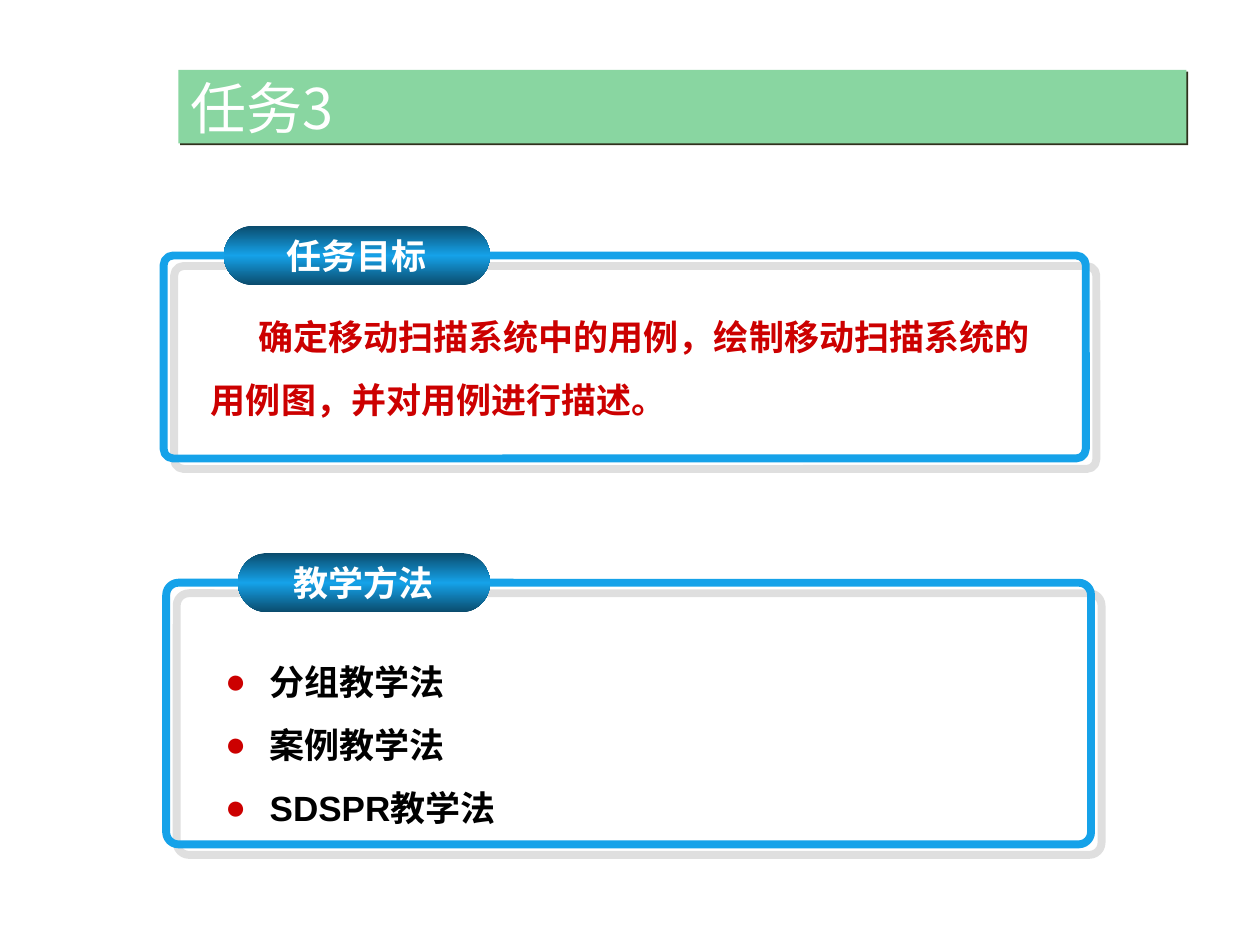
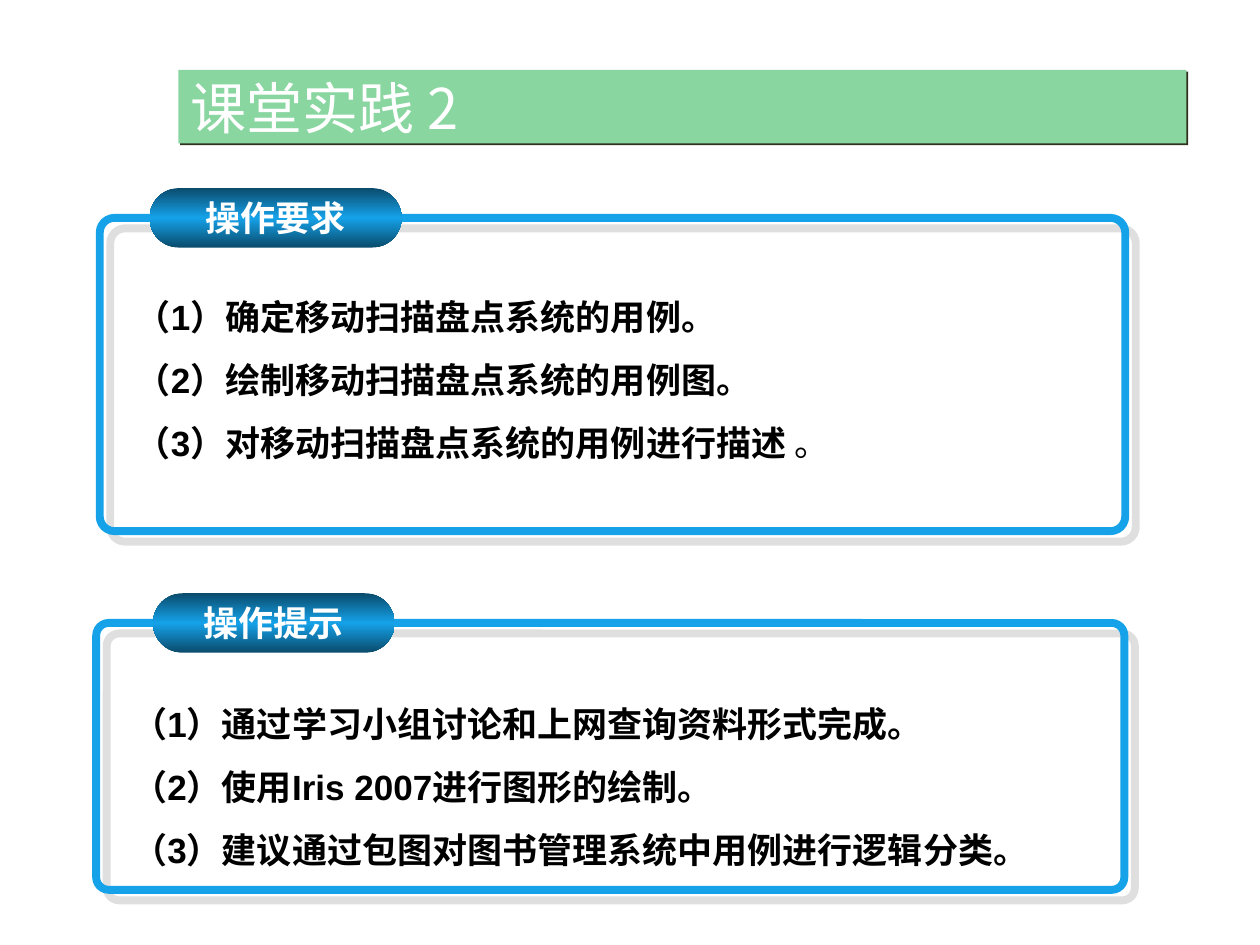
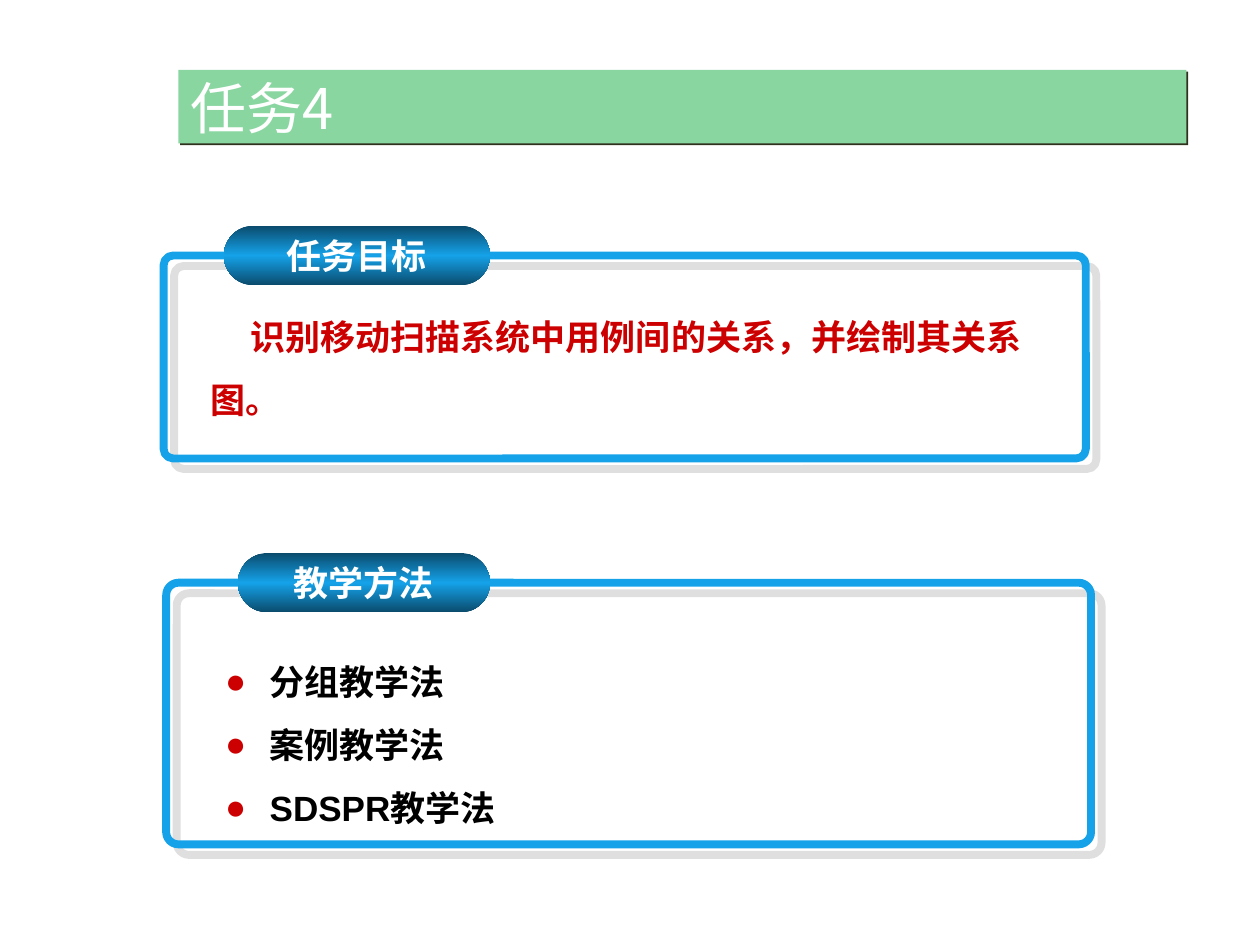
from lxml import etree
from copy import deepcopy
from pptx import Presentation
from pptx import util as u
from pptx.dml import color
from pptx.enum import shapes, text
from pptx.oxml import ns

COLORS = {
    "band": "89D6A1", "band_shadow": "30311D", "frame": "15A2E9",
    "pill_edge": "0A4B6C", "frame_shadow": "C0C0C0", "accent": "CC0000",
    "white": "FFFFFF", "black": "000000",
}
CJK = "Noto Sans CJK SC"
TITLE = {"size": u.Pt(32), "name": "Noto Sans CJK JP", "bold": False}
LABEL = {"size": u.Pt(20), "name": CJK, "bold": True}
BODY = {"size": u.Pt(20), "name": "Arial", "bold": True}
PLAIN = {**BODY, "bold": False}
LINE_PITCH = 36
INSET_X, INSET_Y = 7.2, 3.6
PILL_HEIGHT, PILL_RISE = 34, 17


def rgb(key):
    return color.RGBColor.from_string(COLORS[key])


def child(parent, tag, **attributes):
    return etree.SubElement(parent, ns.qn(tag), attributes)


def points(*values):
    return [u.Pt(value) for value in values]


def add_span(para, words, style, ink, east_asian=CJK):
    span = para.add_run()
    span.text = words
    for name, value in style.items():
        setattr(span.font, name, value)
    span.font.color.rgb = rgb(ink)
    child(span._r.get_or_add_rPr(), "a:ea", typeface=east_asian)


def add_plain_shape(page, kind, box):
    shape = page.shapes.add_shape(kind, *points(*box))
    shape.shadow.inherit = False
    shape.line.fill.background()
    return shape


def cast_shadow(shape, ink, distance, opacity):
    effects = shape._element.spPr.find(ns.qn("a:effectLst"))
    shadow = child(effects, "a:outerShdw", blurRad="0", dist=str(u.Pt(distance)),
                   dir="2700000", algn="ctr", rotWithShape="0")
    tone = child(shadow, "a:srgbClr", val=COLORS[ink])
    child(tone, "a:alpha", val=str(opacity * 1000))


def set_frame(shape, **settings):
    frame = shape.text_frame
    for name, value in settings.items():
        setattr(frame, name, value)
    return frame


def add_title(page, words):
    band = add_plain_shape(page, shapes.MSO_SHAPE.RECTANGLE, (102, 40, 576, 42))
    band.fill.solid()
    band.fill.fore_color.rgb = rgb("band")
    cast_shadow(band, "band_shadow", 1.4, 100)
    frame = set_frame(band, vertical_anchor=text.MSO_ANCHOR.MIDDLE, word_wrap=True)
    para = frame.paragraphs[0]
    para.alignment = text.PP_ALIGN.LEFT
    add_span(para, words, TITLE, "white", TITLE["name"])


def add_pill(page, box, words):
    pill = add_plain_shape(page, shapes.MSO_SHAPE.ROUNDED_RECTANGLE, box)
    pill.adjustments[0] = 0.5
    pill.fill.gradient()
    pill.fill.gradient_angle = 90
    edge, middle = pill.fill.gradient_stops
    edge.color.rgb, middle.color.rgb = rgb("pill_edge"), rgb("frame")
    middle.position = 0.5
    stops = pill._element.spPr.find(ns.qn("a:gradFill")).find(ns.qn("a:gsLst"))
    last = deepcopy(stops[0])
    last.set("pos", "100000")
    stops.append(last)
    frame = set_frame(pill, vertical_anchor=text.MSO_ANCHOR.MIDDLE, word_wrap=False)
    para = frame.paragraphs[0]
    para.alignment = text.PP_ALIGN.CENTER
    add_span(para, words, LABEL, "white")


def add_lines(page, box, lines, ink, indent, bullet):
    body = page.shapes.add_textbox(*points(*box))
    frame = set_frame(body, word_wrap=True, margin_left=u.Pt(INSET_X),
                      margin_right=u.Pt(INSET_X), margin_top=u.Pt(INSET_Y),
                      margin_bottom=u.Pt(INSET_Y))
    for index, spans in enumerate(lines):
        para = frame.add_paragraph() if index else frame.paragraphs[0]
        para.line_spacing = u.Pt(LINE_PITCH)
        properties = para._p.get_or_add_pPr()
        properties.set("indent", str(u.Pt(-indent if bullet else indent)))
        if bullet:
            properties.set("marL", str(u.Pt(indent)))
            child(child(properties, "a:buClr"), "a:srgbClr", val=COLORS["accent"])
            child(properties, "a:buFont", typeface="Arial")
            child(properties, "a:buChar", char="●")
        for words, style in spans:
            add_span(para, words, style, ink)


def add_panel(page, box, label, pill, pad, lines, ink="black", indent=0, bullet=False):
    left, top, width, height = box
    outline = add_plain_shape(page, shapes.MSO_SHAPE.ROUNDED_RECTANGLE, box)
    outline.adjustments[0] = 0.047
    outline.fill.background()
    outline.line.color.rgb = rgb("frame")
    outline.line.width = u.Pt(4.5)
    cast_shadow(outline, "frame_shadow", 8.5, 50)
    pad_x, pad_y = pad
    add_lines(page, (left + pad_x, top + pad_y, width - 2 * pad_x,
                     height - pad_y - INSET_Y), lines, ink, indent, bullet)
    offset, pill_width = pill
    add_pill(page, (left + offset, top - PILL_RISE, pill_width, PILL_HEIGHT), label)


def body_lines(*lines):
    return [[(words, BODY)] for words in lines]


def task_slide(page, title, goal, indent):
    add_title(page, title)
    add_panel(page, (93.5, 146, 527, 116), "任务目标", (34.5, 152), (20, 19),
              body_lines(goal), "accent", indent)
    add_panel(page, (95, 333, 528.5, 149.5), "教学方法", (41, 144), (26.5, 29),
              body_lines("分组教学法", "案例教学法", "SDSPR教学法"),
              indent=25.5, bullet=True)


def practice_slide(page, title, requirements, hints):
    add_title(page, title)
    add_panel(page, (57, 124.5, 586, 179), "操作要求", (28.5, 144), (13.5, 29),
              requirements)
    add_panel(page, (55, 356, 587.5, 152.5), "操作提示", (32.5, 138), (13.5, 30), hints)


def main():
    deck = Presentation()
    deck.slide_width, deck.slide_height = points(720, 540)
    blank = deck.slide_layouts[6]
    task_slide(deck.slides.add_slide(blank), "任务3",
               "确定移动扫描系统中的用例，绘制移动扫描系统的用例图，并对用例进行描述。", 27)
    requirements = body_lines("（1）确定移动扫描盘点系统的用例。",
                              "（2）绘制移动扫描盘点系统的用例图。",
                              "（3）对移动扫描盘点系统的用例进行描述")
    requirements[-1].append((" 。", PLAIN))
    hints = body_lines("（1）通过学习小组讨论和上网查询资料形式完成。",
                       "（2）使用Iris 2007进行图形的绘制。",
                       "（3）建议通过包图对图书管理系统中用例进行逻辑分类。")
    practice_slide(deck.slides.add_slide(blank), "课堂实践 2", requirements, hints)
    task_slide(deck.slides.add_slide(blank), "任务4",
               "识别移动扫描系统中用例间的关系，并绘制其关系图。", 22.5)
    deck.save("out.pptx")


if __name__ == "__main__":
    main()
